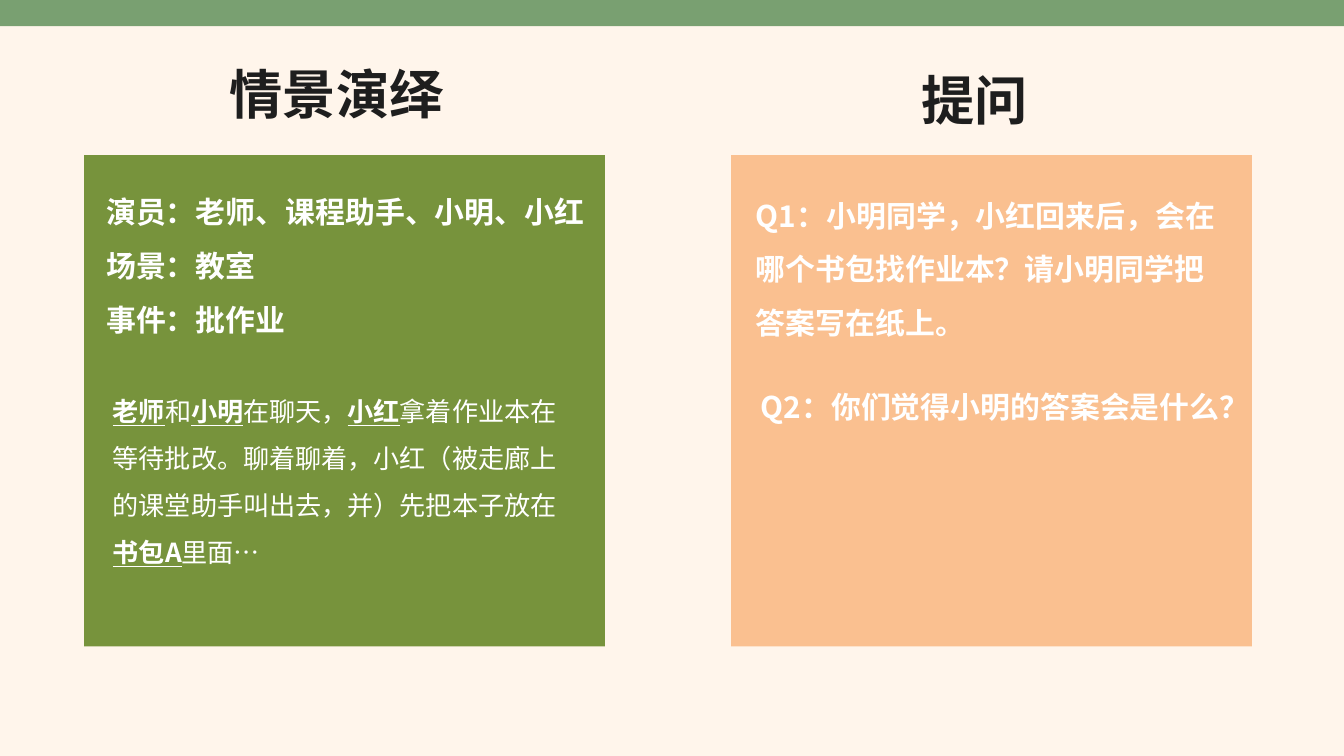
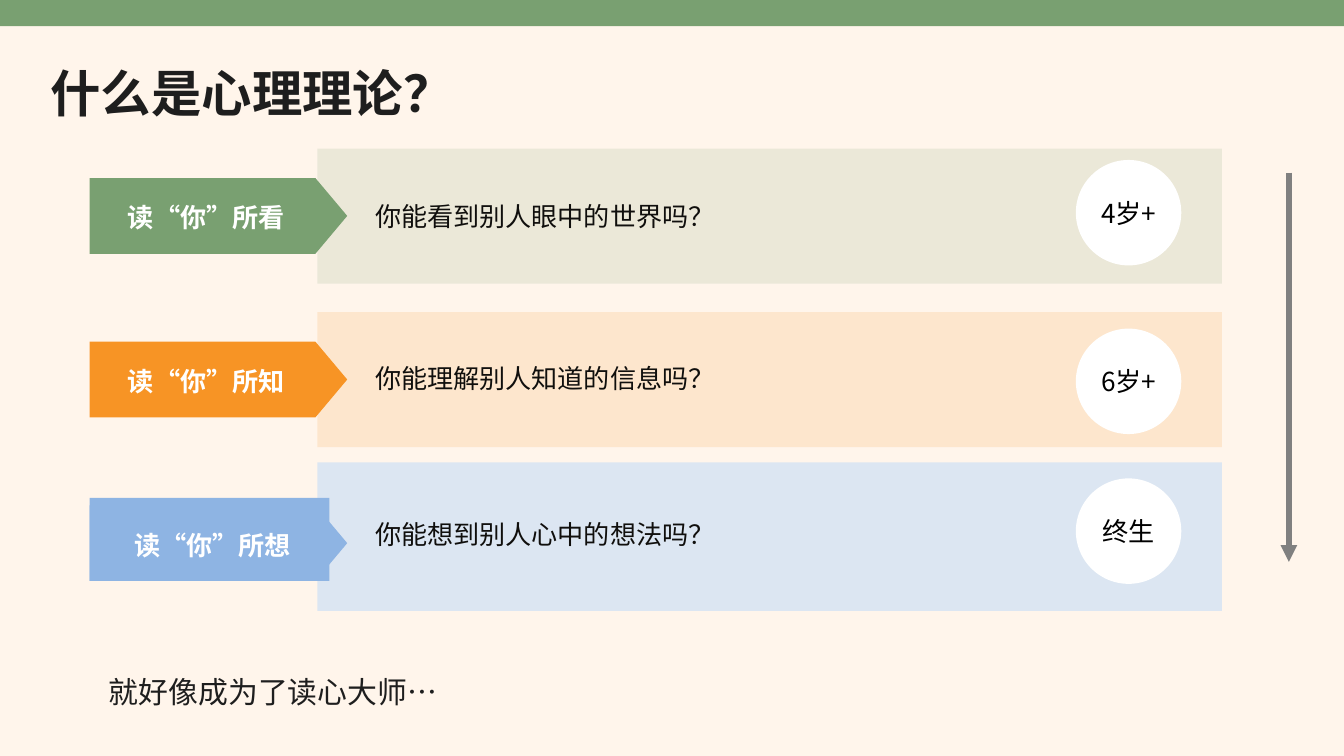
from lxml import etree
from pptx import Presentation
from pptx.dml.color import RGBColor
from pptx.enum.shapes import MSO_CONNECTOR, MSO_SHAPE as SHAPE
from pptx.enum.text import MSO_ANCHOR as ANCHOR, MSO_AUTO_SIZE, PP_ALIGN as ALIGN
from pptx.oxml.ns import qn
from pptx.util import Pt

CREAM = RGBColor(0xFF, 0xF5, 0xEB)
SAGE = RGBColor(0x79, 0xA0, 0x71)
OLIVE = RGBColor(0x77, 0x93, 0x3C)
PEACH = RGBColor(0xFA, 0xC0, 0x90)
ORANGE = RGBColor(0xF7, 0x94, 0x25)
BLUE = RGBColor(0x8E, 0xB4, 0xE3)
PALE_BLUE = RGBColor(0xDC, 0xE6, 0xF2)
GREY = RGBColor(0x80, 0x80, 0x80)
INK = RGBColor(0x1E, 0x1E, 0x1E)
DARK = RGBColor(0x10, 0x0F, 0x0D)
BLACK = RGBColor(0, 0, 0)
WHITE = RGBColor(0xFF, 0xFF, 0xFF)
NOTO, CALIBRI = "Noto Sans CJK SC", "Calibri"

SCENE_TITLE = "情景演绎"
ASK_TITLE = "提问"
SCENE_FACTS = ["演员：老师、课程助手、小明、小红", "场景：教室", "事件：批作业"]
STORY = [
    ("老师", True), ("和", False), ("小明", True), ("在聊天，", False),
    ("小红", True),
    ("拿着作业本在等待批改。聊着聊着，小红（被走廊上的课堂助手叫出去，并）先把本子放在", False),
    ("书包A", True), ("里面…", False),
]
QUESTIONS = [
    ("Q1：小明同学，小红回来后，会在哪个书包找作业本？请小明同学把答案写在纸上。", 810, 192.2),
    ("Q2：你们觉得小明的答案会是什么？", 815, 396.7),
]
PANELS = [(90, OLIVE), (783.4, PEACH)]

THEORY_TITLE = "什么是心理理论？"
CLOSING = "就好像成为了读心大师…"
LEVELS = [
    dict(label="读“你”所看", label_x=108.7, ask="你能看到别人眼中的世界吗？", ask_y=219.6,
         age="4岁+", age_y=171.4, color=SAGE, tint=SAGE, alpha=15, lift=0),
    dict(label="读“你”所知", label_x=108.7, ask="你能理解别人知道的信息吗？", ask_y=393.8,
         age="6岁+", age_y=352.1, color=ORANGE, tint=ORANGE, alpha=15, lift=0),
    dict(label="读“你”所想", label_x=115.2, ask="你能想到别人心中的想法吗？", ask_y=560.9,
         age="终生", age_y=512.6, color=BLUE, tint=PALE_BLUE, alpha=100, lift=14.4),
]
LEVEL_TOP, LEVEL_PITCH, LEVEL_H = 159.1, 175.3, 144.7
TAG_H, TAG_POINT = 81.1, 0.42


def box(at):
    return [Pt(v) for v in at]


def add_shape(slide, kind, at, color, alpha=100):
    sp = slide.shapes.add_shape(kind, *box(at))
    sp.shadow.inherit = False
    sp.fill.solid()
    sp.fill.fore_color.rgb = color
    sp.line.fill.background()
    if alpha < 100:
        clr = sp.fill._xPr.find(qn("a:solidFill"))[0]
        etree.SubElement(clr, qn("a:alpha")).set("val", str(alpha * 1000))
    return sp


def write(sp, paragraphs, size, color, font=NOTO, bold=False, align=ALIGN.LEFT,
          spacing=None, anchor=ANCHOR.TOP, inset=None):
    tf = sp.text_frame
    tf.word_wrap = True
    tf.auto_size = MSO_AUTO_SIZE.NONE
    tf.vertical_anchor = anchor
    if inset is not None:
        tf.margin_left = tf.margin_right = tf.margin_top = tf.margin_bottom = Pt(inset)
    if isinstance(paragraphs, str):
        paragraphs = [paragraphs]
    for i, content in enumerate(paragraphs):
        p = tf.add_paragraph() if i else tf.paragraphs[0]
        p.alignment = align
        p.space_before = p.space_after = Pt(0)
        if spacing:
            p.line_spacing = spacing
        parts = [(content, False)] if isinstance(content, str) else content
        for text, marked in parts:
            r = p.add_run()
            r.text = text
            r.font.size = Pt(size)
            r.font.bold = bold or marked
            r.font.underline = marked
            r.font.color.rgb = color
            r.font.name = font
            rPr = r._r.get_or_add_rPr()
            rPr.set("lang", "zh-CN")
            etree.SubElement(rPr, qn("a:ea")).set("typeface", NOTO)


def add_text(slide, at, paragraphs, size, color, inset=0, **fmt):
    sp = slide.shapes.add_textbox(*box(at))
    write(sp, paragraphs, size, color, inset=inset, **fmt)


def add_slide(prs, title, at, size, font):
    slide = prs.slides.add_slide(prs.slide_layouts[5])
    sp = slide.shapes.title
    sp.left, sp.top, sp.width, sp.height = box(at)
    write(sp, title, size, INK, font=font, bold=True, spacing=Pt(68.4), inset=0)
    add_shape(slide, SHAPE.RECTANGLE, (0, 0, 1440, 28), SAGE)
    return slide


def add_arrow(slide, x, top, bottom):
    line = slide.shapes.add_connector(MSO_CONNECTOR.STRAIGHT, Pt(x), Pt(top), Pt(x), Pt(bottom))
    line.line.color.rgb = GREY
    line.line.width = Pt(6)
    etree.SubElement(line.line._get_or_add_ln(), qn("a:tailEnd")).set("type", "triangle")
    etree.SubElement(line._element.spPr, qn("a:effectLst"))


def build_scene(prs):
    slide = add_slide(prs, SCENE_TITLE, (246.2, 66.2, 245.5, 68.4), 57, NOTO)
    for x, color in PANELS:
        add_shape(slide, SHAPE.RECTANGLE, (x, 166.3, 558, 526.3), color)
    add_text(slide, (987.1, 72, 128.9, 68.4), ASK_TITLE, 57, INK, bold=True, spacing=Pt(68.4))
    add_text(slide, (113.8, 188.6, 647.3, 167.8), SCENE_FACTS, 32, WHITE, bold=True,
             align=ALIGN.JUSTIFY, spacing=1.5)
    add_text(slide, (113.8, 403.2, 491.8, 211), [STORY], 28, WHITE, inset=None, spacing=1.5)
    for text, x, y in QUESTIONS:
        add_text(slide, (x, y, 493.9, 167.8), text, 32, WHITE, bold=True, spacing=1.5)


def build_theory(prs):
    slide = add_slide(prs, THEORY_TITLE, (54, 63.4, 722.9, 65.5), 54, CALIBRI)
    for i, level in enumerate(LEVELS):
        top = LEVEL_TOP + i * LEVEL_PITCH
        lift = level["lift"]
        add_shape(slide, SHAPE.RECTANGLE, (340, top - lift, 969.1, LEVEL_H + lift),
                  level["tint"], level["alpha"])
        tag_top = top + 31.7
        tag = add_shape(slide, SHAPE.PENTAGON, (96, tag_top, 276, TAG_H), level["color"])
        tag.adjustments[0] = TAG_POINT
        if lift:
            add_shape(slide, SHAPE.RECTANGLE, (96, tag_top - 8, 257, TAG_H + 8), level["color"])
        add_text(slide, (402, level["ask_y"], 863.3, 29.5), level["ask"], 28, DARK,
                 font=CALIBRI, align=ALIGN.JUSTIFY, spacing=Pt(28.6))
        add_text(slide, (level["label_x"], top + 47, 224.6, 40.3), level["label"], 28, WHITE,
                 font=CALIBRI, bold=True, align=ALIGN.CENTER, spacing=Pt(43.7))
        age = add_shape(slide, SHAPE.OVAL, (1152.7, level["age_y"], 113, 113), WHITE)
        write(age, level["age"], 28, BLACK, align=ALIGN.CENTER, anchor=ANCHOR.MIDDLE)
    add_text(slide, (109.4, 688.3, 1254.2, 67), CLOSING, 32, INK, inset=None,
             font=CALIBRI, spacing=Pt(68.4))
    add_arrow(slide, 1381, 185, 602)


def main():
    prs = Presentation()
    prs.slide_width, prs.slide_height = Pt(1440), Pt(810)
    fill = prs.slide_master.background.fill
    fill.solid()
    fill.fore_color.rgb = CREAM
    build_scene(prs)
    build_theory(prs)
    prs.save("out.pptx")


if __name__ == "__main__":
    main()
